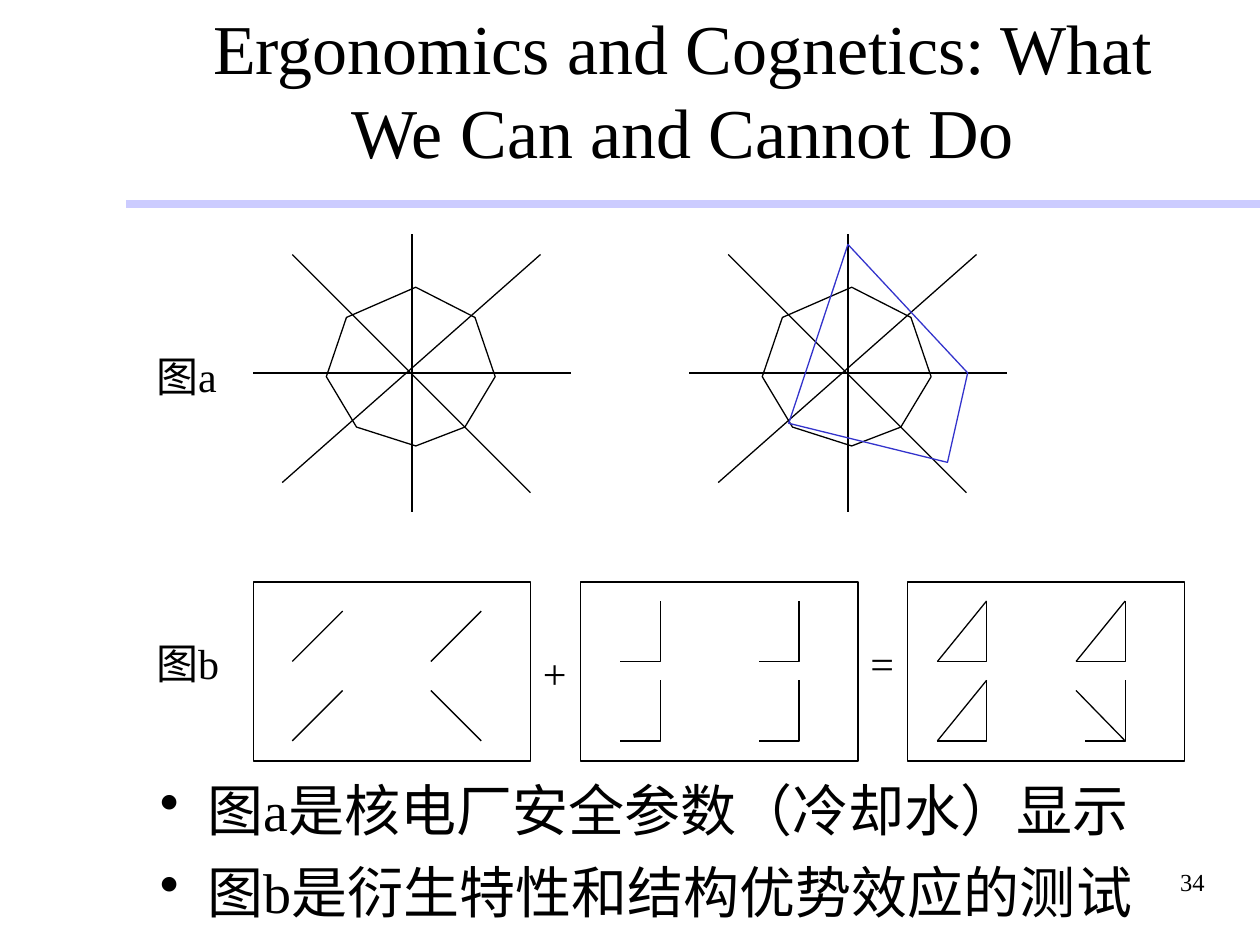
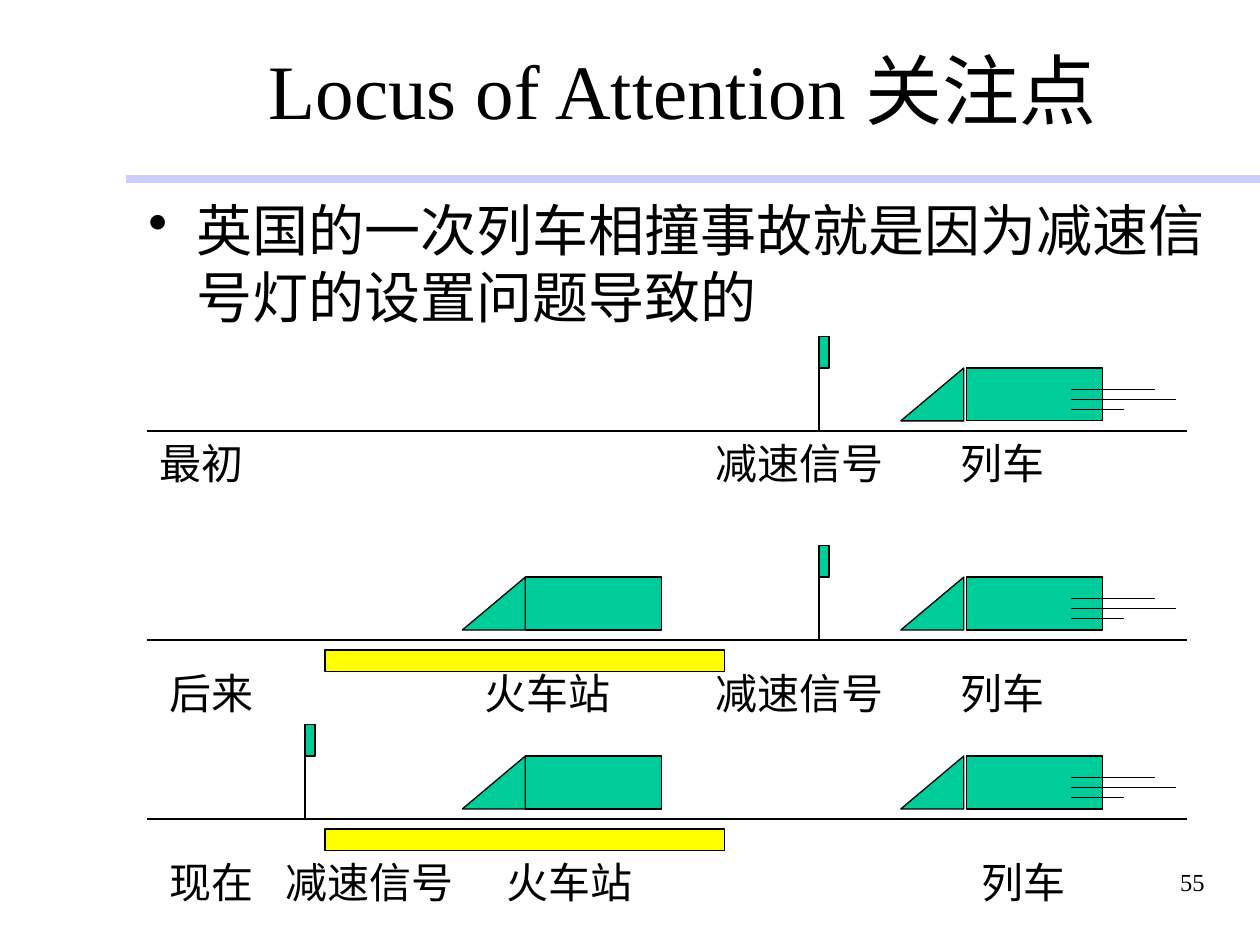
from pptx import Presentation
from pptx.dml.color import RGBColor
from pptx.enum.shapes import MSO_CONNECTOR, MSO_SHAPE
from pptx.enum.text import MSO_ANCHOR, PP_ALIGN
from pptx.oxml.ns import qn
from pptx.util import Inches, Pt
from lxml import etree

COLORS = {"ink": "000000", "rule": "CCCCFF", "plot": "3333CC",
          "train": "00CC99", "platform": "FFFF00"}
FONT = "Times New Roman"


def rgb(name):
    return RGBColor.from_string(COLORS[name])


def write(tf, text, size=24, color="ink", align=PP_ALIGN.LEFT,
          anchor=MSO_ANCHOR.TOP, bullet=False, gap=8):
    """Fill a text frame, one paragraph for each line of text."""
    tf.word_wrap = True
    tf.vertical_anchor = anchor
    for i, line in enumerate(text.split("\n")):
        p = tf.paragraphs[0] if i == 0 else tf.add_paragraph()
        p.alignment = align
        if bullet:
            pPr = p._p.get_or_add_pPr()
            pPr.set("marL", str(Inches(0.38)))
            pPr.set("indent", str(-Inches(0.38)))
            etree.SubElement(pPr, qn("a:buChar")).set("char", "•")
        if i:
            p.space_before = Pt(gap)
        r = p.add_run()
        r.text = line
        r.font.name = FONT
        r.font.size = Pt(size)
        r.font.color.rgb = rgb(color)


class Deck:
    def __init__(self):
        self.prs = Presentation()
        self.prs.slide_width, self.prs.slide_height = Inches(10), Inches(7.5)
        self.s = None

    def slide(self, title, number, title_size, rule_y):
        """Start a slide with the shared title, rule and page number."""
        self.s = self.prs.slides.add_slide(self.prs.slide_layouts[6])
        self.text(title, 1.17, 0.08, 8.5, 1.25, size=title_size,
                  align=PP_ALIGN.CENTER, anchor=MSO_ANCHOR.MIDDLE)
        self.line(1, rule_y, 10, rule_y, "rule", 4.5)
        self.text(str(number), 7.58, 6.83, 2.08, 0.5, size=14, align=PP_ALIGN.RIGHT)

    def text(self, text, x, y, w, h=0.5, **fmt):
        sp = self.s.shapes.add_textbox(Inches(x), Inches(y), Inches(w), Inches(h))
        write(sp.text_frame, text, **fmt)

    def line(self, x1, y1, x2, y2, color="ink", width=0.75):
        sp = self.s.shapes.add_connector(MSO_CONNECTOR.STRAIGHT, Inches(x1),
                                         Inches(y1), Inches(x2), Inches(y2))
        sp.line.color.rgb = rgb(color)
        sp.line.width = Pt(width)
        etree.SubElement(sp._element.spPr, qn("a:effectLst"))

    def style(self, sp, fill, line):
        sp.shadow.inherit = False
        if fill:
            sp.fill.solid()
            sp.fill.fore_color.rgb = rgb(fill)
        else:
            sp.fill.background()
        sp.line.color.rgb = rgb(line)
        sp.line.width = Pt(0.75)

    def shape(self, kind, x, y, w, h, fill=None, flip=False):
        sp = self.s.shapes.add_shape(kind, Inches(x), Inches(y), Inches(w), Inches(h))
        self.style(sp, fill, "ink")
        if flip:
            sp._element.spPr.find(qn("a:xfrm")).set("flipH", "1")

    def outline(self, points, line="ink", close=True):
        points = [(Inches(x), Inches(y)) for x, y in points]
        fb = self.s.shapes.build_freeform(*points[0], scale=1.0)
        fb.add_line_segments(points[1:], close=close)
        self.style(fb.convert_to_shape(), None, line)


# Axes and octagon of a safety parameter display
AXES = [(2.01, 2.96, 4.53, 2.96), (3.27, 1.86, 3.27, 4.06),
        (2.32, 2.02, 4.21, 3.91), (4.29, 2.02, 2.24, 3.83)]
OCTAGON = [(3.3, 2.28), (2.75, 2.52), (2.59, 2.99), (2.83, 3.39),
           (3.3, 3.54), (3.69, 3.39), (3.93, 2.99), (3.77, 2.52)]
DISTORTED = [(6.73, 1.94), (6.26, 3.36), (7.52, 3.67), (7.68, 2.96)]


def radar(d, dx):
    for x1, y1, x2, y2 in AXES:
        d.line(x1 + dx, y1, x2 + dx, y2)
    d.outline([(x + dx, y) for x, y in OCTAGON])


def corner(d, right, top, w):
    d.outline([(right, top), (right, top + 0.48), (right - w, top + 0.48)],
              close=False)


def ergonomics_slide(d):
    d.slide("Ergonomics and Cognetics: What We Can and Cannot Do", 34, 40, 1.62)
    d.text("图a是核电厂安全参数（冷却水）显示\n图b是衍生特性和结构优势效应的测试",
           1.17, 6.11, 8.5, 1.34, size=32, bullet=True)

    # Figure a: normal and distorted readings
    d.text("图a", 1.14, 2.73, 0.79)
    for dx in (0, 3.46):
        radar(d, dx)
    d.outline(DISTORTED, "plot")

    # Figure b: slashes + corners = combined figures
    d.text("图b", 1.14, 5.01, 0.79)
    d.text("+", 4.21, 5.09, 0.39)
    d.text("=", 6.81, 5.01, 0.39)
    for x in (2.01, 4.61, 7.2):
        d.shape(MSO_SHAPE.RECTANGLE, x, 4.62, 2.2, 1.42)
    for row in range(2):
        for col in range(2):
            dx, top = 1.1 * col, 4.77 + 0.63 * row
            bottom = top + 0.48
            odd = row and col
            if odd:
                d.line(2.32 + dx, bottom - 0.4, 2.72 + dx, bottom)
                d.line(7.44 + dx, bottom - 0.4, 7.83 + dx, bottom)
            else:
                d.line(2.72 + dx, bottom - 0.4, 2.32 + dx, bottom)
                d.line(7.83 + dx, top, 7.44 + dx, bottom)
            corner(d, 5.24 + dx, top, 0.32)
            corner(d, 7.83 + dx, top, 0.32 if odd else 0.39)


def train(d, nose, car, ground):
    d.shape(MSO_SHAPE.RIGHT_TRIANGLE, nose, ground - 0.5, 0.5, 0.42, "train", flip=True)
    d.shape(MSO_SHAPE.RECTANGLE, car, ground - 0.5, 1.08, 0.42, "train")


def track(d, ground, signal, station, label_y, labels):
    d.line(1.17, ground, 9.42, ground)
    # Signal flag on its pole
    d.line(signal, ground - 0.75, signal, ground)
    d.shape(MSO_SHAPE.RECTANGLE, signal, ground - 0.75, 0.08, 0.25, "train")
    # Moving train with speed lines
    train(d, 7.15, 7.67, ground)
    for up, end in ((0.33, 9.17), (0.25, 9.33), (0.17, 8.92)):
        d.line(8.5, ground - up, end, ground - up)
    # Train standing at the platform
    if station:
        train(d, 3.67, 4.17, ground)
        d.shape(MSO_SHAPE.RECTANGLE, 2.58, ground + 0.08, 3.17, 0.17, "platform")
    for text, x in labels.items():
        align = PP_ALIGN.CENTER if text == "列车" else PP_ALIGN.LEFT
        d.text(text, x, label_y, 1.58, align=align)


def attention_slide(d):
    d.slide("Locus of Attention 关注点", 55, 44, 1.42)
    d.text("英国的一次列车相撞事故就是因为减速信号灯的设置问题导致的",
           1.08, 1.5, 8.92, 1.5, size=32, bullet=True)
    track(d, 3.42, 6.5, False, 3.42, {"最初": 1.17, "减速信号": 5.58, "列车": 7.17})
    track(d, 5.08, 6.5, True, 5.25,
          {"后来": 1.25, "火车站": 3.75, "减速信号": 5.58, "列车": 7.17})
    track(d, 6.5, 2.42, True, 6.75,
          {"现在": 1.25, "减速信号": 2.17, "火车站": 3.92, "列车": 7.33})


def main():
    d = Deck()
    ergonomics_slide(d)
    attention_slide(d)
    d.prs.save("out.pptx")


if __name__ == "__main__":
    main()
